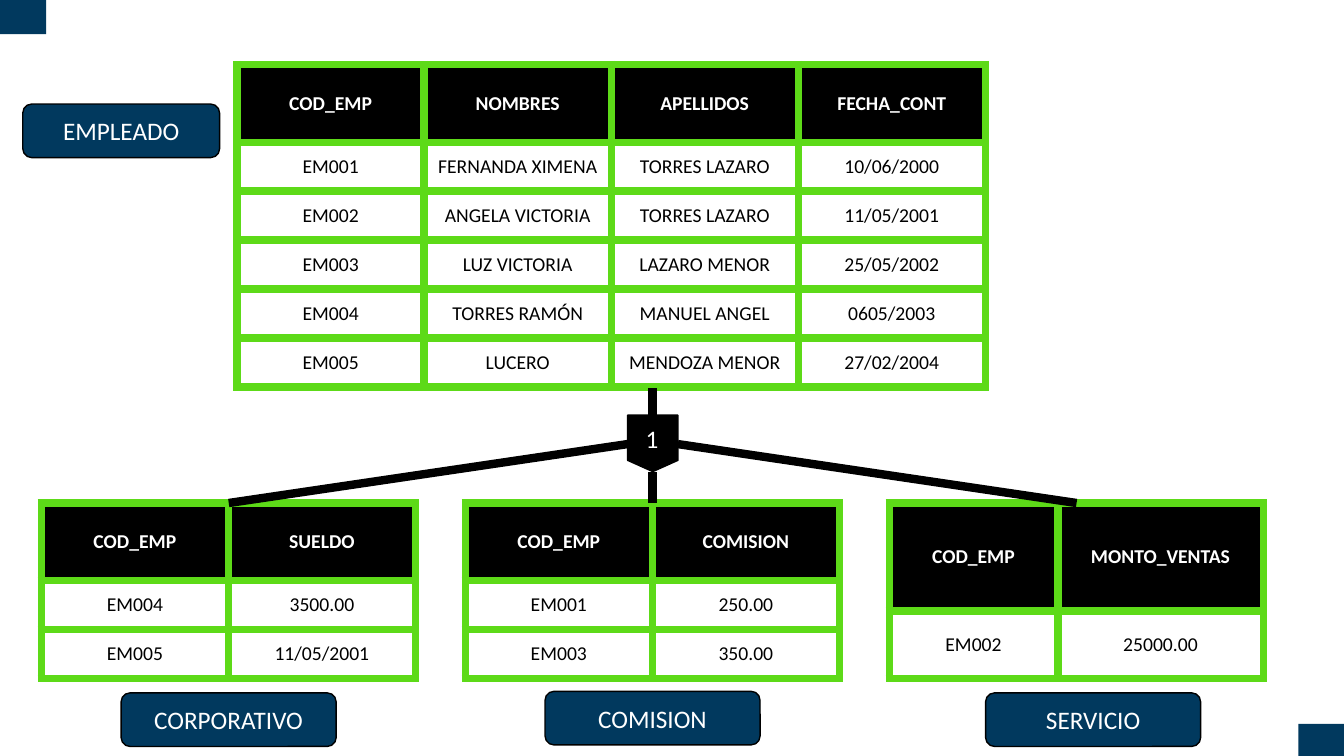
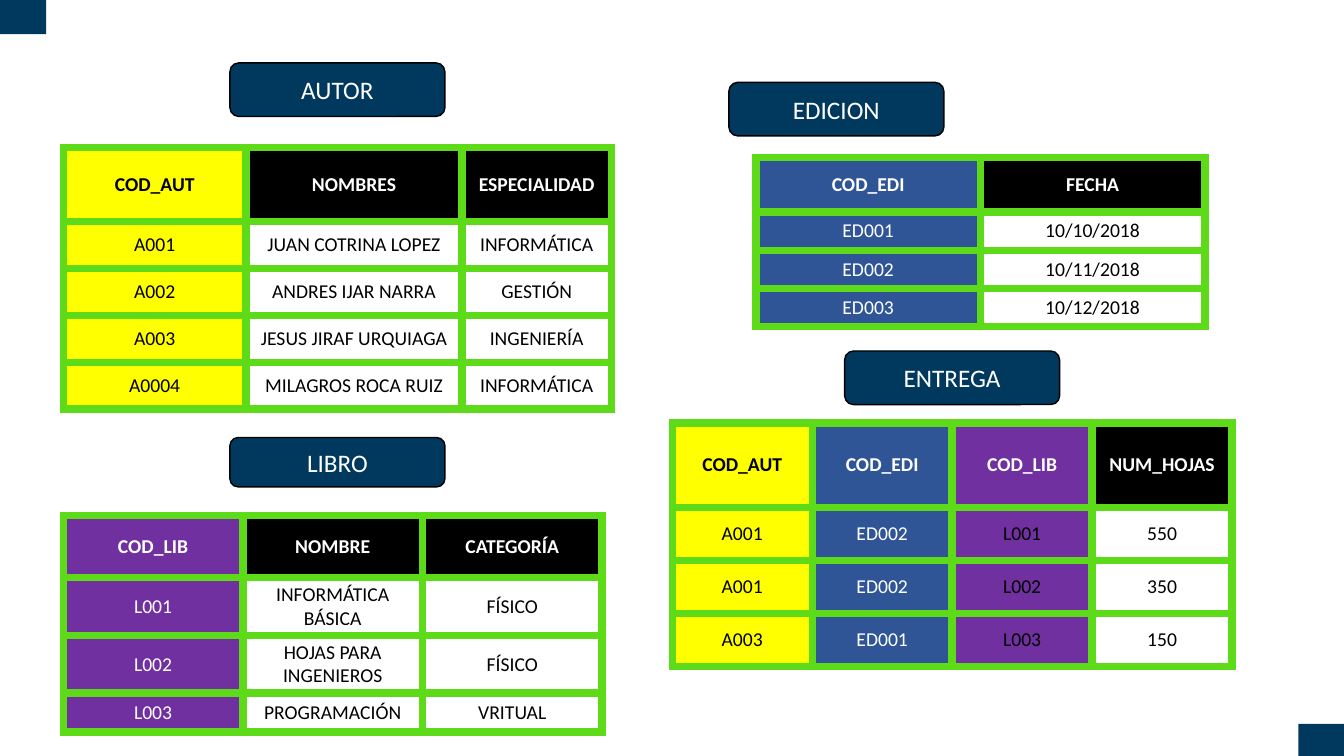
"""Build two slides of database tables: an employee hierarchy and an author, book and edition schema."""
from lxml import etree
from pptx import Presentation
from pptx import util as u
from pptx.dml.color import RGBColor
from pptx.enum import shapes, text
from pptx.oxml.ns import qn

THEME = {
    "navy": RGBColor.from_string("01395E"),
    "black": RGBColor.from_string("000000"),
    "white": RGBColor.from_string("FFFFFF"),
    "yellow": RGBColor.from_string("FFFF00"),
    "blue": RGBColor.from_string("2F5597"),
    "purple": RGBColor.from_string("7030A0"),
    "border": "5DDA18",
    "font": "Calibri",
    "cell_size": u.Pt(14),
    "label_size": u.Pt(18),
    "thick": u.Pt(6),
    "thin": u.Pt(1),
}
COLUMN_STYLES = {
    "plain": (("black", "white"), ("white", "black")),
    "author": (("yellow", "black"), ("yellow", "black")),
    "edition": (("blue", "white"), ("blue", "white")),
    "book": (("purple", "white"), ("purple", "white")),
    "book_key": (("purple", "white"), ("purple", "black")),
}
CELL_FORMAT = {
    "margin_left": u.Pt(5.4),
    "margin_right": u.Pt(5.4),
    "margin_top": 0,
    "margin_bottom": 0,
    "vertical_anchor": text.MSO_ANCHOR.MIDDLE,
}


def add_box(slide, kind, place, fill, caption="", outline="black"):
    shape = slide.shapes.add_shape(kind, *map(u.Pt, place))
    shape.shadow.inherit = False
    shape.fill.solid()
    shape.fill.fore_color.rgb = THEME[fill]
    if outline:
        shape.line.color.rgb = THEME[outline]
        shape.line.width = THEME["thin"]
    else:
        shape.line.fill.background()
    if caption:
        frame = shape.text_frame
        for name, value in {"vertical_anchor": text.MSO_ANCHOR.MIDDLE, "margin_top": 0, "margin_bottom": 0}.items():
            setattr(frame, name, value)
        paragraph = frame.paragraphs[0]
        paragraph.text = caption
        paragraph.alignment = text.PP_ALIGN.CENTER
        for name, value in {"name": THEME["font"], "size": THEME["label_size"]}.items():
            setattr(paragraph.font, name, value)
        paragraph.font.color.rgb = THEME["white"]
    return shape


def add_data_table(slide, left, top, widths, heights, styles, rows):
    frame = slide.shapes.add_table(
        len(rows), len(widths), *map(u.Pt, (left, top, sum(widths), sum(heights))))
    table = frame.table
    table.horz_banding = False
    for column, width in zip(table.columns, widths):
        column.width = u.Pt(width)
    for row_index, (row, height) in enumerate(zip(rows, heights)):
        table.rows[row_index].height = u.Pt(height)
        for column_index, (value, style) in enumerate(zip(row.split("|"), styles)):
            is_header = row_index == 0
            fill, colour = COLUMN_STYLES[style][0 if is_header else 1]
            cell = table.cell(row_index, column_index)
            for name, setting in CELL_FORMAT.items():
                setattr(cell, name, setting)
            cell.fill.solid()
            cell.fill.fore_color.rgb = THEME[fill]
            paragraph = cell.text_frame.paragraphs[0]
            paragraph.text = value
            paragraph.alignment = text.PP_ALIGN.CENTER
            for name, setting in {"name": THEME["font"], "size": THEME["cell_size"], "bold": is_header}.items():
                setattr(paragraph.font, name, setting)
            paragraph.font.color.rgb = THEME[colour]
            properties = cell._tc.get_or_add_tcPr()
            for position, side in enumerate(("lnL", "lnR", "lnT", "lnB")):
                border = etree.Element(qn(f"a:{side}"), w=str(THEME["thick"]))
                solid = etree.SubElement(border, qn("a:solidFill"))
                etree.SubElement(solid, qn("a:srgbClr"), val=THEME["border"])
                properties.insert(position, border)


presentation = Presentation()
presentation.slide_width, presentation.slide_height = u.Pt(960), u.Pt(540)
blank = presentation.slide_layouts[6]
employee_slide = presentation.slides.add_slide(blank)
library_slide = presentation.slides.add_slide(blank)

for left, top in ((0, 0), (927.4, 517)):
    corner = add_box(employee_slide, shapes.MSO_SHAPE.RECTANGLE, (left, top, 33, 24.5), "navy", outline=None)
    presentation.slide_master.shapes._spTree.append(corner._element)

add_box(employee_slide, shapes.MSO_SHAPE.FLOWCHART_OFFPAGE_CONNECTOR, (448.3, 296.6, 36, 40.3), "black")

EMPLOYEE_TABLES = [
    (169.4, 46.2, [133.6] * 4, [55.4] + [35] * 5, [
        "COD_EMP|NOMBRES|APELLIDOS|FECHA_CONT",
        "EM001|FERNANDA XIMENA|TORRES LAZARO|10/06/2000",
        "EM002|ANGELA VICTORIA|TORRES LAZARO|11/05/2001",
        "EM003|LUZ VICTORIA|LAZARO MENOR|25/05/2002",
        "EM004|TORRES RAMÓN|MANUEL ANGEL|0605/2003",
        "EM005|LUCERO|MENDOZA MENOR|27/02/2004"]),
    (29.6, 359.3, [133.6] * 2, [55.4, 35, 35], [
        "COD_EMP|SUELDO", "EM004|3500.00", "EM005|11/05/2001"]),
    (332.4, 359.3, [133.6] * 2, [55.4, 35, 35], [
        "COD_EMP|COMISION", "EM001|250.00", "EM003|350.00"]),
    (635.2, 359.3, [120.4, 146.8], [77.2, 48.2], [
        "COD_EMP|MONTO_VENTAS", "EM002|25000.00"]),
]
for left, top, widths, heights, rows in EMPLOYEE_TABLES:
    add_data_table(employee_slide, left, top, widths, heights, ["plain"] * len(widths), rows)

LIBRARY_TABLES = [
    (45.2, 105.4, [130.6, 154.2, 106.8], [53] + [33.5] * 4, ["author", "plain", "plain"], [
        "COD_AUT|NOMBRES|ESPECIALIDAD",
        "A001|JUAN COTRINA LOPEZ|INFORMÁTICA",
        "A002|ANDRES IJAR NARRA|GESTIÓN",
        "A003|JESUS JIRAF URQUIAGA|INGENIERÍA",
        "A0004|MILAGROS ROCA RUIZ|INFORMÁTICA"]),
    (540, 112.4, [160.3] * 2, [39.2] + [27.2] * 3, ["edition", "plain"], [
        "COD_EDI|FECHA", "ED001|10/10/2018", "ED002|10/11/2018", "ED003|10/12/2018"]),
    (480.2, 302.2, [100] * 4, [60.2] + [37.9] * 3, ["author", "edition", "book_key", "plain"], [
        "COD_AUT|COD_EDI|COD_LIB|NUM_HOJAS",
        "A001|ED002|L001|550", "A001|ED002|L002|350", "A003|ED001|L003|150"]),
    (45.2, 368.4, [128.3] * 3, [44.2, 41.3, 41.3, 27.6], ["book", "plain", "plain"], [
        "COD_LIB|NOMBRE|CATEGORÍA",
        "L001|INFORMÁTICA BÁSICA|FÍSICO",
        "L002|HOJAS PARA INGENIEROS|FÍSICO",
        "L003|PROGRAMACIÓN|VRITUAL"]),
]
for library_table in LIBRARY_TABLES:
    add_data_table(library_slide, *library_table)

LABELS = [
    (employee_slide, "CORPORATIVO", (86.5, 494.9, 153.6, 38.3), "navy"),
    (employee_slide, "COMISION", (389.3, 493.8, 153.6, 38.3), "navy"),
    (employee_slide, "SERVICIO", (704, 494.9, 153.6, 38.3), "navy"),
    (employee_slide, "EMPLEADO", (16.3, 74.3, 140.6, 38.3), "navy"),
    (employee_slide, "1", (449.3, 302.4, 33.1, 21.6), "black"),
    (library_slide, "ENTREGA", (603.3, 250.7, 153.6, 38.3), "navy"),
    (library_slide, "EDICION", (520.6, 58.8, 153.6, 38.3), "navy"),
    (library_slide, "LIBRO", (164.2, 312.5, 153.6, 35.3), "navy"),
    (library_slide, "AUTOR", (164.2, 44.9, 153.6, 38.3), "navy"),
]
for slide, caption, place, fill in LABELS:
    add_box(slide, shapes.MSO_SHAPE.ROUNDED_RECTANGLE, place, fill, caption)

BRANCHES = [
    (466.1, 359.3, 466.1, 337),
    (769, 359.3, 484.2, 317.2),
    (163.4, 359.3, 448.3, 317.2),
    (466.1, 296.6, 466.1, 277.2),
]
for branch in BRANCHES:
    connector = employee_slide.shapes.add_connector(shapes.MSO_CONNECTOR.STRAIGHT, *map(u.Pt, branch))
    connector.line.color.rgb = THEME["black"]
    connector.line.width = THEME["thick"]
    etree.SubElement(connector._element.spPr, qn("a:effectLst"))

presentation.save("out.pptx")
